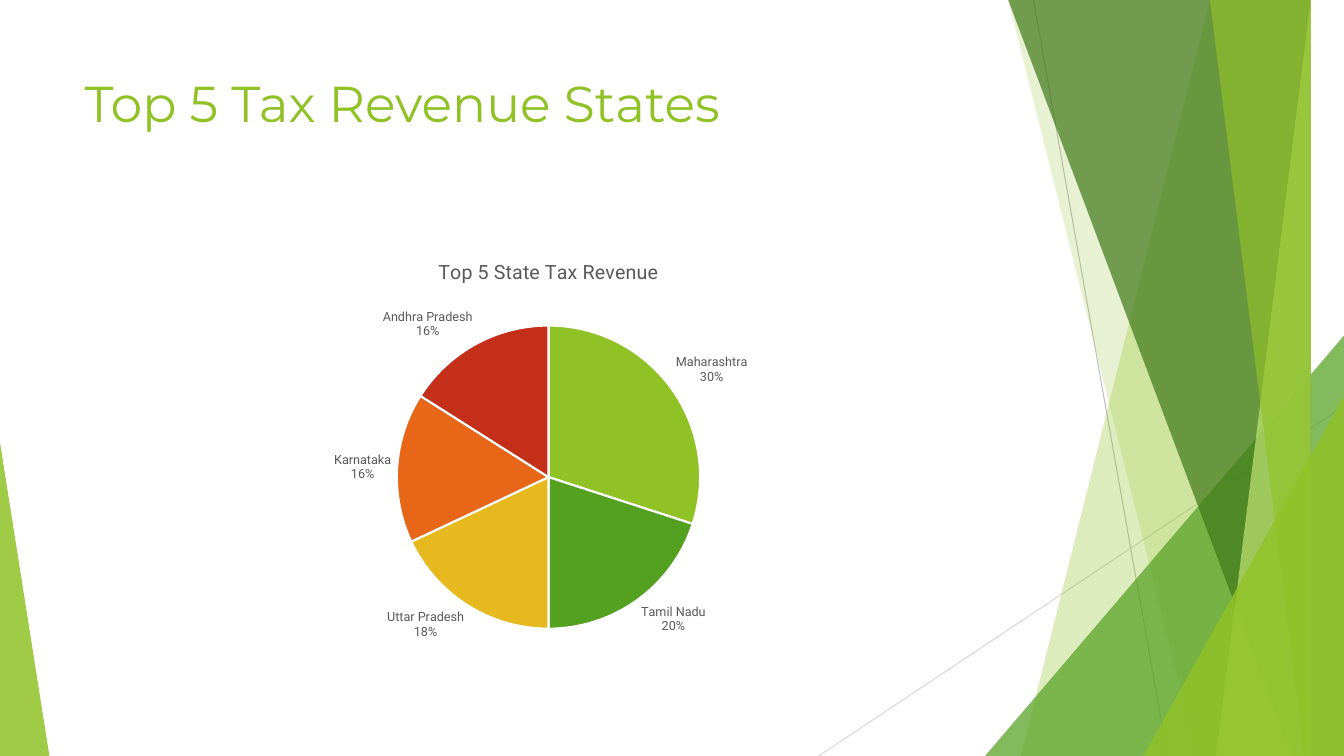
from lxml import etree
from pptx import Presentation
from pptx.chart.data import CategoryChartData as Data
from pptx.dml.color import RGBColor as RGB
from pptx.enum.chart import XL_CHART_TYPE as Kind, XL_LABEL_POSITION as Spot
from pptx.enum.shapes import MSO_CONNECTOR as Link, MSO_SHAPE as Form
from pptx.enum.text import MSO_ANCHOR as Anchor
from pptx.oxml import parse_xml
from pptx.oxml.ns import nsdecls, qn
from pptx.util import Inches, Pt

LIME = RGB(0x90, 0xC2, 0x26)
GREEN = RGB(0x54, 0xA0, 0x21)
DARK = RGB(0x3F, 0x78, 0x19)
PALE = RGB(0xC0, 0xE4, 0x74)
GOLD = RGB(0xE6, 0xB9, 0x1E)
ORANGE = RGB(0xE7, 0x66, 0x18)
RED = RGB(0xC4, 0x2F, 0x1A)
GRAY = RGB(0x59, 0x59, 0x59)
SILVER = RGB(0xBF, 0xBF, 0xBF)
MIST = RGB(0xD9, 0xD9, 0xD9)
WHITE = RGB(0xFF, 0xFF, 0xFF)

STATES = [
    ("Maharashtra", 30, LIME),
    ("Tamil Nadu", 20, GREEN),
    ("Uttar Pradesh", 18, GOLD),
    ("Karnataka", 16, ORANGE),
    ("Andhra Pradesh", 16, RED),
]


def style(font, size, color, name):
    font.size = Pt(size)
    font.name = name
    font.bold = False
    font.color.rgb = color


def write(frame, text, size=14, color=GRAY, name="Roboto"):
    para = frame.paragraphs[0]
    run = para.add_run()
    run.text = text
    style(run.font, size, color, name)


def paint(shape, color, alpha):
    shape.shadow.inherit = False
    shape.fill.solid()
    shape.fill.fore_color.rgb = color
    shape.line.fill.background()
    tint = shape.fill._xPr.find(".//" + qn("a:srgbClr"))
    etree.SubElement(tint, qn("a:alpha"), val=str(alpha * 1000))


def draw_line(slide, start, end, color):
    ends = [Inches(v) for v in (*start, *end)]
    line = slide.shapes.add_connector(Link.STRAIGHT, *ends)
    line.line.color.rgb = color
    line.line.width = Pt(0.75)
    etree.SubElement(line._element.spPr, qn("a:effectLst"))


def draw_facet(slide, box, head, tail, foot, color, alpha):
    left, top, wide, high = box
    right, base = left + wide, top + high
    pen = slide.shapes.build_freeform(right - head, top, scale=Inches(1))
    pen.add_line_segments(
        [(right - tail, top), (right, top), (right, base), (right - foot, base)])
    paint(pen.convert_to_shape(), color, alpha)


def draw_wedge(slide, box, tip, color, alpha):
    shape = slide.shapes.add_shape(Form.ISOSCELES_TRIANGLE, *map(Inches, box))
    shape.adjustments[0] = tip
    paint(shape, color, alpha)


def add_decor(slide, box):
    left, top, wide, high = box
    right, base = left + wide, top + high

    def facet(*args):
        draw_facet(slide, box, *args)

    def corner(width, height, color, alpha):
        area = (right - width, base - height, width, height)
        draw_wedge(slide, area, 1, color, alpha)

    draw_line(slide, (right - 3.08, top), (right - 1.75, base), SILVER)
    draw_line(slide, (right, base - 3.47), (left, base), MIST)
    facet(1.05, 0, 3.29, LIME, 30)
    facet(2.83, 0, 1.5, LIME, 20)
    corner(3.56, 4.17, GREEN, 72)
    facet(3.12, 0, 0.42, DARK, 70)
    facet(0.3, 0, 1.41, PALE, 70)
    facet(1.37, 0, 0.15, LIME, 65)
    corner(1.99, 3.57, LIME, 80)


def add_title(slide, box):
    frame = slide.shapes.add_textbox(*map(Inches, box)).text_frame
    frame.word_wrap = True
    frame.vertical_anchor = Anchor.TOP
    write(frame, "Top 5 Tax Revenue States", size=36, color=LIME, name="Montserrat")


def place(node, **spots):
    old = node.find(qn("c:layout"))
    if old is not None:
        node.remove(old)
    rows = "".join(f'<c:{key} val="{val}"/>' for key, val in spots.items())
    layout = parse_xml(
        f'<c:layout {nsdecls("c")}><c:manualLayout>{rows}</c:manualLayout></c:layout>')
    text = node.find(qn("c:tx"))
    if text is None:
        node.insert(0, layout)
    else:
        text.addnext(layout)


def add_pie(slide, box):
    names, values, colors = zip(*STATES)
    data = Data()
    data.categories = names
    data.add_series("Series 1", values)
    chart = slide.shapes.add_chart(Kind.PIE, *map(Inches, box), data).chart
    style(chart.font, 10, GRAY, "Roboto")
    chart.has_legend = False
    chart.has_title = True
    write(chart.chart_title.text_frame, "Top 5 State Tax Revenue")
    chart.chart_title.include_in_layout = False
    place(chart.chart_title._element, xMode="edge", yMode="edge", x=0.38, y=0.04)

    plot = chart.plots[0]
    plot.vary_by_categories = True
    place(chart._chartSpace.chart.plotArea, layoutTarget="inner",
          xMode="edge", yMode="edge", x=0.34, y=0.2, w=0.32, h=0.72)
    for index, color in enumerate(colors):
        slice_ = plot.series[0].points[index].format
        slice_.fill.solid()
        slice_.fill.fore_color.rgb = color
        slice_.line.color.rgb = WHITE
        slice_.line.width = Pt(1.5)

    plot.has_data_labels = True
    labels = plot.data_labels
    labels.show_category_name = True
    labels.show_percentage = True
    labels.show_value = False
    labels.number_format = "0%"
    labels.number_format_is_linked = False
    labels.position = Spot.OUTSIDE_END
    style(labels.font, 9, GRAY, "Roboto")
    mark = parse_xml(f'<c:separator {nsdecls("c")}>\n</c:separator>')
    labels._element.find(qn("c:showBubbleSize")).addnext(mark)


def main():
    deck = Presentation()
    deck.slide_width, deck.slide_height = Inches(13.33), Inches(7.5)
    slide = deck.slides.add_slide(deck.slide_layouts[6])
    add_decor(slide, (8.12, 0, 5.21, 7.5))
    draw_wedge(slide, (0, 4.39, 0.49, 3.11), 0, LIME, 85)
    add_title(slide, (0.74, 0.67, 9.4, 1.44))
    add_pie(slide, (0.74, 2.36, 9.4, 4.24))
    deck.save("out.pptx")


if __name__ == "__main__":
    main()
